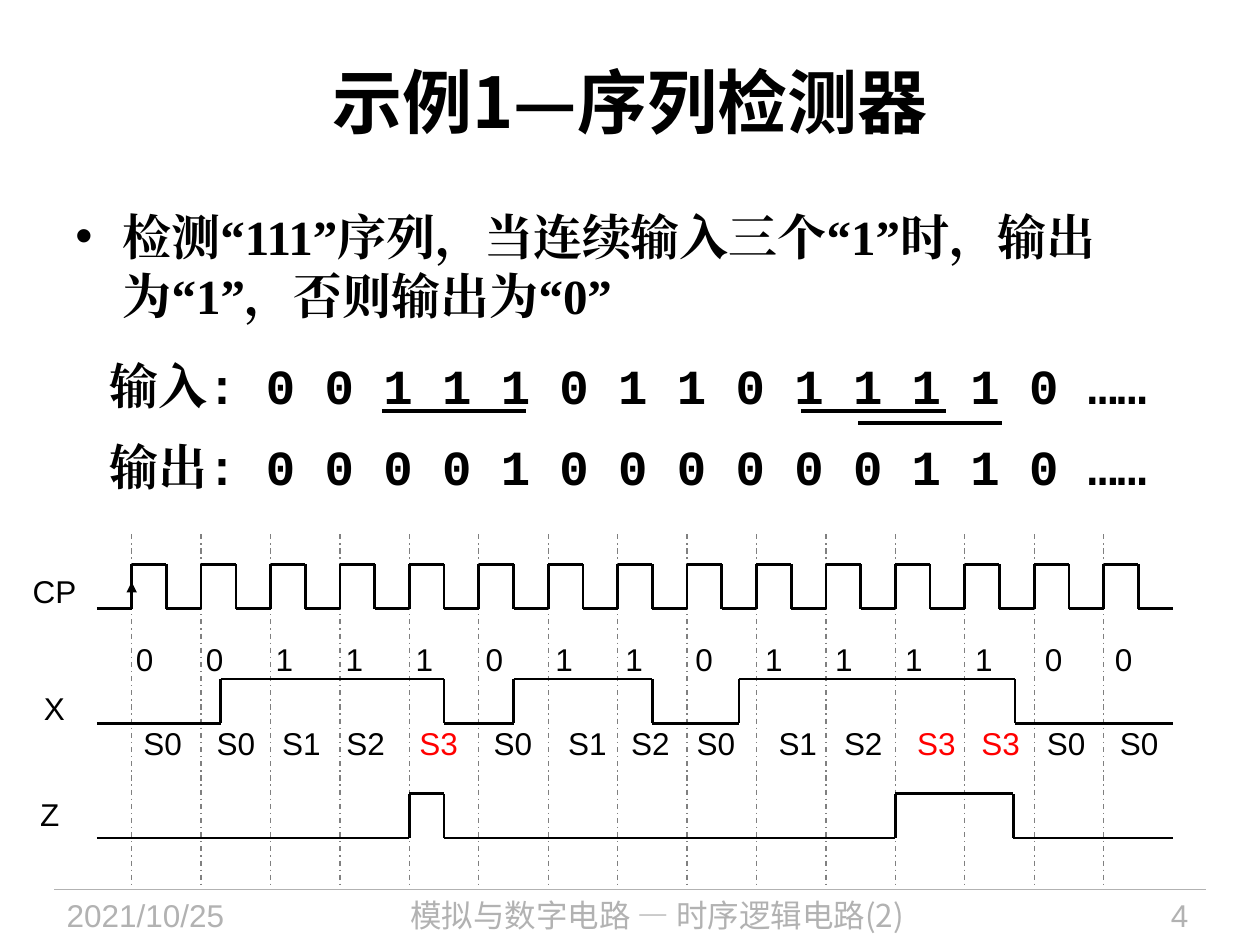
from dataclasses import dataclass
from itertools import pairwise

from lxml import etree
from pptx import Presentation
from pptx import util as u
from pptx.dml.color import RGBColor
from pptx.enum import dml, shapes, text
from pptx.oxml import ns

COLS, ROWS = 100, 75


@dataclass(frozen=True)
class Theme:
    ink: str = "000000"
    alert: str = "FF0000"
    guide: str = "808080"
    muted: str = "B2B2B2"
    cjk: str = "Noto Sans CJK SC"
    serif: str = "Times New Roman"
    mono: str = "Courier New"
    sans: str = "Arial"
    title: int = 40
    body: int = 28
    small: int = 18
    hair: float = 0.75
    wave: float = 1.5
    mark: float = 2.25


@dataclass(frozen=True)
class Box:
    x: float
    y: float
    w: float
    h: float

    def sub(self, dx, dy, w, h):
        return Box(self.x + dx, self.y + dy, w, h)


T = Theme()
A = text.PP_ALIGN


def grid(*values):
    return [u.Inches(v * 10 / COLS) for v in values]


def apply(obj, values):
    for name, value in values.items():
        setattr(obj, name, value)


def child(parent, tag, **attrs):
    return etree.SubElement(parent, ns.qn(tag), attrs)


def add_line(s, x1, y1, x2, y2, color=T.ink, width=T.wave, dash=None, arrow=False):
    sp = s.shapes.add_connector(shapes.MSO_CONNECTOR.STRAIGHT, *grid(x1, y1, x2, y2))
    sp.line.color.rgb = RGBColor.from_string(color)
    apply(sp.line, {"width": u.Pt(width), "dash_style": dash})
    if arrow:
        child(sp.line._get_or_add_ln(), "a:tailEnd", type="triangle")
    child(sp._element.spPr, "a:effectLst")


def add_box(s, box, **frame):
    tf = s.shapes.add_textbox(*grid(box.x, box.y, box.w, box.h)).text_frame
    apply(tf, {"word_wrap": True, **frame})
    return tf


def add_run(p, words, font, size, color=T.ink, bold=False):
    r = p.add_run()
    r.text = words
    apply(r.font, {"name": font, "size": u.Pt(size), "bold": bold})
    r.font.color.rgb = RGBColor.from_string(color)
    child(r._r.get_or_add_rPr(), "a:ea", typeface=font)


def add_tabs(p, stops):
    tabs = child(p._p.get_or_add_pPr(), "a:tabLst")
    for stop in stops:
        child(tabs, "a:tab", pos=str(grid(stop)[0]), algn="l")


def title(s, box):
    p = add_box(s, box, vertical_anchor=text.MSO_ANCHOR.MIDDLE).paragraphs[0]
    p.alignment = A.CENTER
    add_run(p, "示例1—序列检测器", T.cjk, T.title, bold=True)


def statement(s, box):
    p = add_box(s, box).paragraphs[0]
    pPr = p._p.get_or_add_pPr()
    indent = grid(3.75)[0]
    for name, value in {"marL": indent, "indent": -indent}.items():
        pPr.set(name, str(value))
    child(pPr, "a:buFont", typeface=T.sans)
    child(pPr, "a:buChar", char="•")
    add_run(p, "检测“111”序列，当连续输入三个“1”时，输出为“1”，否则输出为“0”",
            T.serif, T.body, bold=True)


def sequences(s, box):
    tf = add_box(s, box)
    rows = [("输入", ": 0 0 1 1 1 0 1 1 0 1 1 1 1 0 ……"),
            ("输出", ": 0 0 0 0 1 0 0 0 0 0 0 1 1 0 ……")]
    for i, (name, bits) in enumerate(rows):
        p = tf.add_paragraph() if i else tf.paragraphs[0]
        apply(p, {"line_spacing": 1.2, "space_before": u.Pt(5.6 * i)})
        add_run(p, name, T.serif, T.body, bold=True)
        add_run(p, bits, T.mono, T.body, bold=True)
    for dx, dy in [(22.6, 5.8), (55.9, 5.8), (60.4, 6.8)]:
        x, y = box.x + dx, box.y + dy
        add_line(s, x, y, x + 11.45, y, width=T.mark)


def trace(s, box, edges, half):
    xs = [box.x + half * e for e in (0, *edges, 31)]
    levels = (box.y + box.h, box.y)
    for i, (x1, x2) in enumerate(pairwise(xs)):
        y = levels[i % 2]
        if i:
            add_line(s, x1, box.y + box.h, x1, box.y)
        add_line(s, x1, y, x2, y)


def timing(s, box):
    half = box.w / 31
    starts = [box.x + half * n for n in range(1, 31, 2)]
    for x in starts:
        add_line(s, x, box.y, x, box.y + box.h, T.guide, T.hair,
                 dml.MSO_LINE.DASH_DOT)

    signals = [("CP", range(1, 31), -6.1, 2.5),
               ("X", (3.56, 10, 12, 16, 18.5, 26.45), -5.2, 11.8),
               ("Z", (9, 10, 23, 26.4), -5.5, 20.2)]
    for i, (name, edges, dx, dy) in enumerate(signals):
        trace(s, box.sub(0, 2.4 + 9.1 * i, box.w, 3.5), edges, half)
        tf = add_box(s, box.sub(dx, dy, 5.5, 4), word_wrap=False)
        add_run(tf.paragraphs[0], name, T.sans, T.small)
    add_line(s, starts[0], box.y + 5.9, starts[0], box.y + 3.8,
             width=T.hair, arrow=True)

    p = add_box(s, box.sub(2.1, 7.9, 81.9, 4)).paragraphs[0]
    add_tabs(p, [5.55 * n for n in range(1, 15)])
    add_run(p, "\t".join("001110110111100"), T.sans, T.small)

    p = add_box(s, box.sub(2.7, 14.6, 85.1, 4)).paragraphs[0]
    add_tabs(p, [5.8, 11, 16.1, 21.9, 27.8, 33.7, 38.7, 43.9,
                 50.4, 55.6, 61.4, 66.5, 71.7, 77.5])
    for i, state in enumerate("001230120123300"):
        add_run(p, ("\t" if i else "") + "S" + state, T.sans, T.small,
                T.alert if state == "3" else T.ink)


def footer(s, box):
    add_line(s, box.x, box.y, box.x + box.w, box.y, T.muted, T.hair)
    parts = [("2021/10/25", T.sans, A.LEFT, 0, 18.8),
             ("模拟与数字电路 — 时序逻辑电路(2)", T.cjk, A.CENTER, 19.7, 56.3),
             ("4", T.sans, A.RIGHT, 77.7, 13.3)]
    for words, font, align, dx, w in parts:
        p = add_box(s, box.sub(dx, 0, w, box.h)).paragraphs[0]
        p.alignment = align
        add_run(p, words, font, T.small, T.muted)


def main():
    prs = Presentation()
    apply(prs, {"slide_width": grid(COLS)[0], "slide_height": grid(ROWS)[0]})
    s = prs.slides.add_slide(prs.slide_layouts[6])
    footer(s, Box(4.3, 70.6, 91.4, 4.4))
    title(s, Box(5, 1.7, 90, 12.5))
    statement(s, Box(5, 15.9, 90, 53.9))
    sequences(s, Box(7.7, 26.8, 85.5, 13.2))
    timing(s, Box(7.7, 42.4, 85.4, 28))
    prs.save("out.pptx")


if __name__ == "__main__":
    main()
